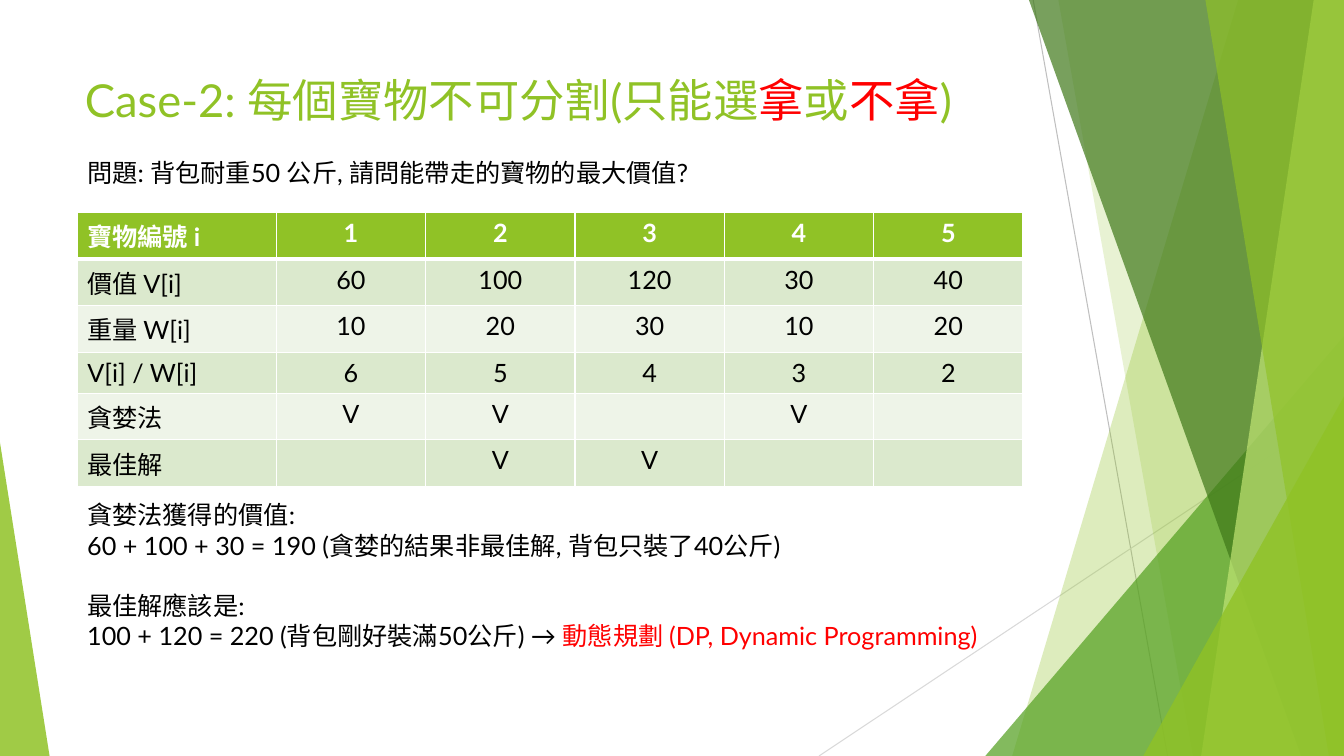
"""Build the knapsack slide comparing the greedy choice with the best solution."""
from lxml.etree import SubElement
from pptx import Presentation
from pptx.dml.color import RGBColor
from pptx.enum.shapes import MSO_CONNECTOR, MSO_SHAPE
from pptx.enum.text import MSO_ANCHOR, MSO_AUTO_SIZE, PP_ALIGN
from pptx.oxml.ns import qn
from pptx.util import Emu, Pt

FONT = "Lato"
GREEN, RED, BLACK, WHITE = "90C226", "FF0000", "000000", "FFFFFF"
COLUMNS, ROWS, UNIT = 160, 90, 76200


def grid(*steps):
    """Turn grid steps into lengths."""
    return [Emu(round(step * UNIT)) for step in steps]


def paint(fill, color):
    """Make a fill solid in a hex colour."""
    fill.solid()
    fill.fore_color.rgb = RGBColor.from_string(color)


presentation = Presentation()
presentation.slide_width, presentation.slide_height = grid(COLUMNS, ROWS)
slide = presentation.slides.add_slide(presentation.slide_layouts[5])
shapes = slide.shapes

for ends, color in [
    ((123, 0, 139, ROWS), "BFBFBF"),
    ((COLUMNS, 48.4, 97.5, ROWS), "D9D9D9"),
]:
    connector = shapes.add_connector(MSO_CONNECTOR.STRAIGHT, *grid(*ends))
    paint(connector.line.fill, color)
    connector.line.width = Pt(0.75)
    SubElement(connector._element.spPr, qn("a:effectLst"))

facets = [
    ("band", 147.4, 120.5, GREEN, 30),
    ("band", 126, 142, GREEN, 20),
    ("right triangle", 117.3, 40, "54A021", 72),
    ("band", 122.5, 154.9, "3F7819", 70),
    ("band", 156.4, 143, "C0E474", 70),
    ("band", 143.5, 158.2, GREEN, 65),
    ("right triangle", 136.1, 47.2, GREEN, 80),
    ("left triangle", 5.9, 52.7, GREEN, 85),
]
for kind, first, second, color, opacity in facets:
    if kind == "band":
        outline = shapes.build_freeform(*grid(first, 0))
        corners = [(COLUMNS, 0), (COLUMNS, ROWS), (second, ROWS)]
        outline.add_line_segments([grid(*corner) for corner in corners], close=True)
        facet = outline.convert_to_shape()
    else:
        on_right = kind == "right triangle"
        left, width = (first, COLUMNS - first) if on_right else (0, first)
        facet = shapes.add_shape(
            MSO_SHAPE.ISOSCELES_TRIANGLE, *grid(left, second, width, ROWS - second)
        )
        facet.adjustments[0] = 1 if on_right else 0
    facet.shadow.inherit = False
    paint(facet.fill, color)
    facet.line.fill.background()
    color_element = facet._element.spPr.find(".//" + qn("a:srgbClr"))
    SubElement(color_element, qn("a:alpha"), val=str(opacity * 1000))

title = shapes.title
title.left, title.top, title.width, title.height = grid(8.9, 8, 112.8, 17.3)
shapes._spTree.append(title._element)

table_rows = [
    ("寶物編號 i", "1", "2", "3", "4", "5"),
    ("價值 V[i]", "60", "100", "120", "30", "40"),
    ("重量 W[i]", "10", "20", "30", "10", "20"),
    ("V[i] / W[i]", "6", "5", "4", "3", "2"),
    ("貪婪法", "V", "V", "", "V", ""),
    ("最佳解", "", "V", "V", "", ""),
]
label_width, value_width, table_height = 23.7, 17.78, 29.2
table = shapes.add_table(
    len(table_rows), 6, *grid(9.2, 25.3, label_width + 5 * value_width, table_height)
).table
for index, column in enumerate(table.columns):
    column.width = grid(value_width if index else label_width)[0]
for row_index, values in enumerate(table_rows):
    table.rows[row_index].height = grid(table_height / len(table_rows))[0]
    for column_index, value in enumerate(values):
        cell = table.cell(row_index, column_index)
        properties = cell._tc.get_or_add_tcPr()
        for side in ("L", "R", "T", "B"):
            heavy = (row_index, side) in [(0, "B"), (1, "T")]
            border = SubElement(
                properties, qn("a:ln" + side), w=str(Pt(3 if heavy else 1))
            )
            border_fill = SubElement(border, qn("a:solidFill"))
            SubElement(border_fill, qn("a:srgbClr"), val=WHITE)
        band_color = "DBE9CD" if row_index % 2 else "EEF4E8"
        paint(cell.fill, band_color if row_index else GREEN)
        paragraph = cell.text_frame.paragraphs[0]
        paragraph.alignment = PP_ALIGN.CENTER if column_index else PP_ALIGN.LEFT
        paragraph.font.size = Pt(18)
        if value:
            run = paragraph.add_run()
            run.text = value
            run.font.name, run.font.size = FONT, Pt(18)
            run.font.bold = row_index == 0
            paint(run.font.fill, BLACK if row_index else WHITE)

question = shapes.add_textbox(*grid(9.2, 18.1, 75.2, 4.8))
conclusion = shapes.add_textbox(*grid(9.2, 58.9, 109.3, 23))

text_blocks = [
    (title, 32.4, [[
        ("Case-2: 每個寶物不可分割(只能選", GREEN),
        ("拿", RED),
        ("或", GREEN),
        ("不拿", RED),
        (")", GREEN),
    ]]),
    (question, 18, [[("問題: 背包耐重50 公斤, 請問能帶走的寶物的最大價值?", BLACK)]]),
    (conclusion, 18, [
        [("貪婪法獲得的價值:", BLACK)],
        [("60 + 100 + 30 = 190 (貪婪的結果非最佳解, 背包只裝了40公斤)", BLACK)],
        [("最佳解應該是:", BLACK)],
        [
            ("100 + 120 = 220 (背包剛好裝滿50公斤) → ", BLACK),
            ("動態規劃 (DP, Dynamic Programming)", RED),
        ],
    ]),
]
for shape, size, paragraphs in text_blocks:
    frame = shape.text_frame
    frame.word_wrap = True
    frame.auto_size = MSO_AUTO_SIZE.NONE
    frame.vertical_anchor = MSO_ANCHOR.TOP
    for index, runs in enumerate(paragraphs):
        paragraph = frame.add_paragraph() if index else frame.paragraphs[0]
        paragraph.alignment = PP_ALIGN.LEFT
        if index == 2:
            paragraph.space_before = Pt(21.6)
        for text, color in runs:
            run = paragraph.add_run()
            run.text = text
            run.font.name, run.font.size = FONT, Pt(size)
            paint(run.font.fill, color)

presentation.save("out.pptx")
